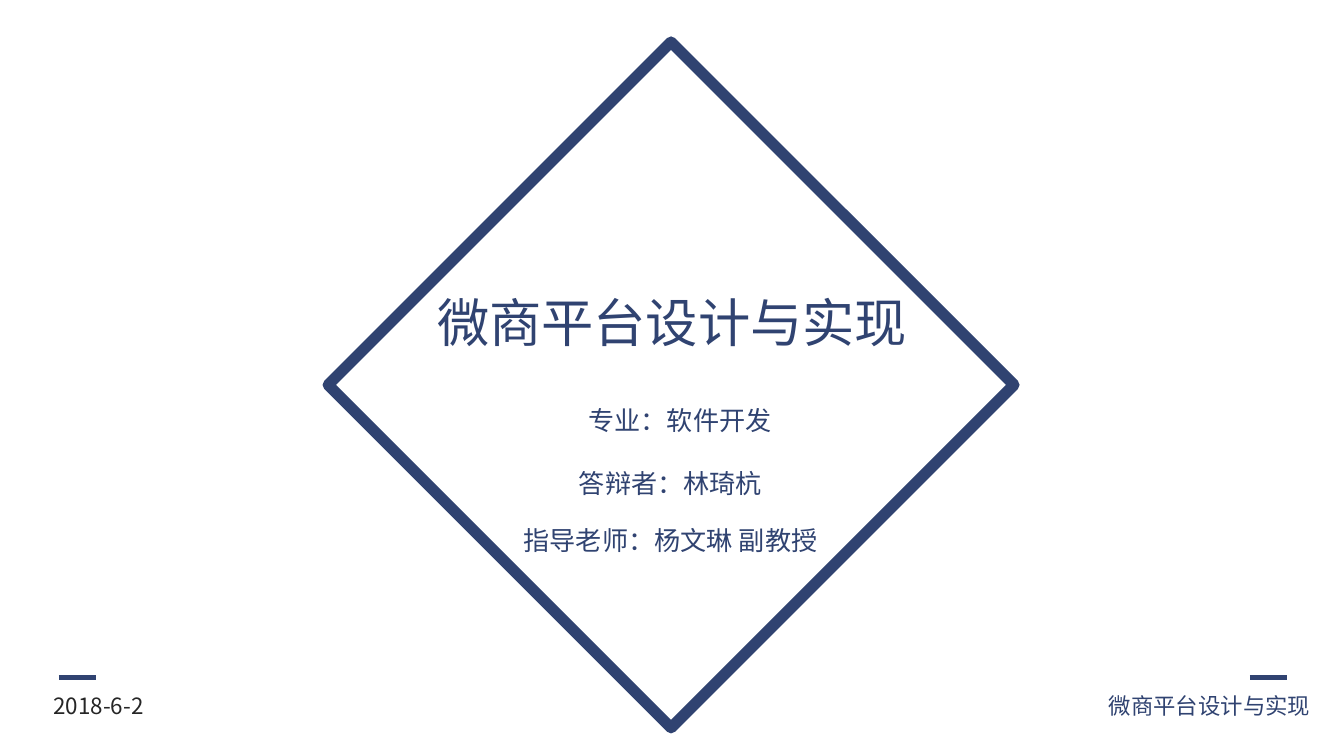
from lxml.etree import SubElement
from pptx import Presentation
from pptx.dml.color import RGBColor
from pptx.enum.shapes import MSO_CONNECTOR as Conn, MSO_SHAPE as Kind
from pptx.enum.text import MSO_ANCHOR as Anchor, MSO_AUTO_SIZE as Auto, PP_ALIGN as Align
from pptx.oxml.ns import qn
from pptx.util import Pt

NAVY, GREY = "304371", "262626"
SANS, ARIAL = "Noto Sans CJK SC", "Arial"
TITLE = "微商平台设计与实现"
MID = 360

LABELS = [
    (TITLE, (225.4, 152, 269.3, 41), 28, NAVY, Align.CENTER),
    (TITLE, (586, 367.2, 124, 21.6), 12, NAVY, Align.CENTER),
    ("2018-6-2", (21.6, 367.2, 67.7, 21.6), 12, GREY, Align.LEFT),
]
DETAILS = [
    ("专业：软件开发", 213.1, 10),
    ("答辩者：林琦杭", 247, 0),
    ("指导老师：杨文琳 副教授", 277.2, 0),
]
DASHES = [31.6, 669.6]
DASH_W, DASH_Y = 19.8, 363


def color(code):
    return RGBColor.from_string(code)


def add_text(text, box, size, code, align, face, wrap=False, shift=0):
    frame = slide.shapes.add_textbox(*map(Pt, box)).text_frame
    frame.word_wrap = wrap
    frame.auto_size = Auto.SHAPE_TO_FIT_TEXT
    frame.vertical_anchor = Anchor.TOP
    frame.margin_left = Pt(7.2 + shift)
    para = frame.paragraphs[0]
    para.text = text
    para.alignment = align
    font = para.font
    font.size = Pt(size)
    font.name = face
    font.color.rgb = color(code)
    props = para._p.pPr.find(qn("a:defRPr"))
    SubElement(props, qn("a:ea")).set("typeface", SANS)


def add_dash(left):
    dash = slide.shapes.add_connector(
        Conn.STRAIGHT, Pt(left), Pt(DASH_Y), Pt(left + DASH_W), Pt(DASH_Y))
    dash.line.color.rgb = color(NAVY)
    dash.line.width = Pt(2.25)
    SubElement(dash._element.spPr, qn("a:effectLst"))


deck = Presentation()
deck.slide_width, deck.slide_height = Pt(720), Pt(405)
slide = deck.slides.add_slide(deck.slide_layouts[6])

frame = slide.shapes.add_shape(Kind.DIAMOND, Pt(175.8), Pt(22.5), Pt(367.4), Pt(367.4))
frame.shadow.inherit = False
frame.fill.background()
frame.line.color.rgb = color(NAVY)
frame.line.width = Pt(6)

for left in DASHES:
    add_dash(left)
for text, box, size, code, align in LABELS:
    add_text(text, box, size, code, align, SANS)
for text, top, shift in DETAILS:
    width = 327
    box = (MID - width / 2 - 0.7, top, width, 24.3)
    add_text(text, box, 14, NAVY, Align.CENTER, ARIAL, True, shift)

deck.save("out.pptx")
